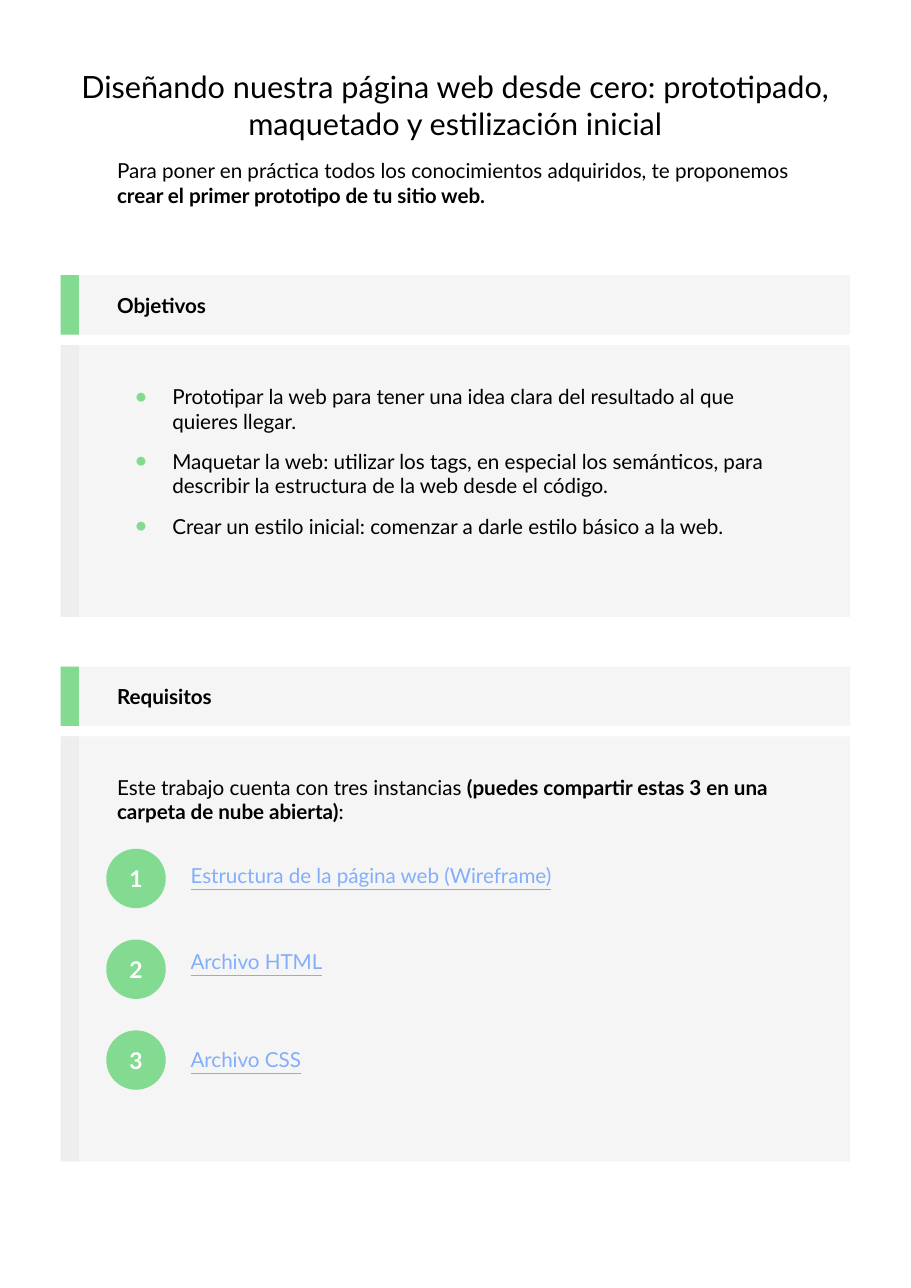
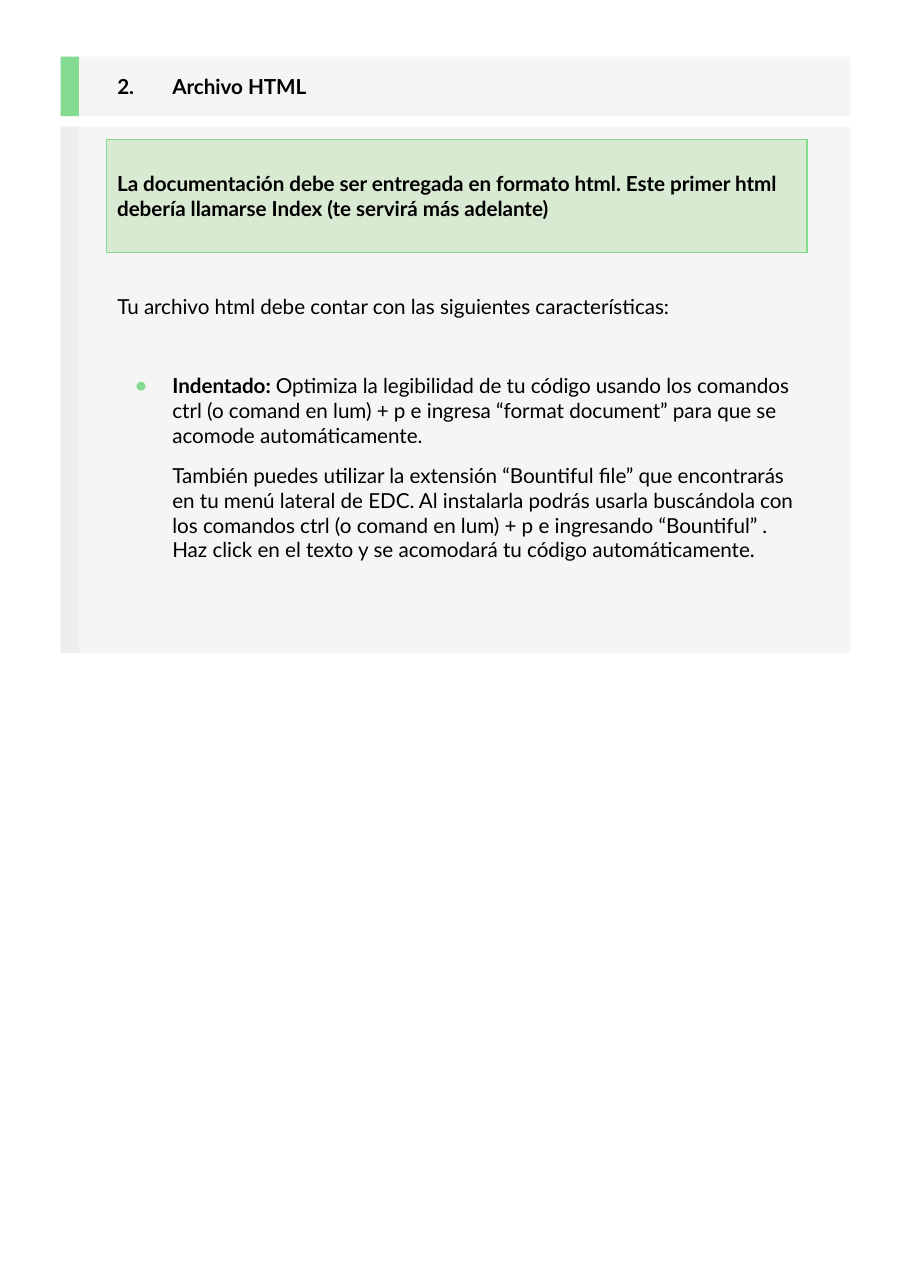
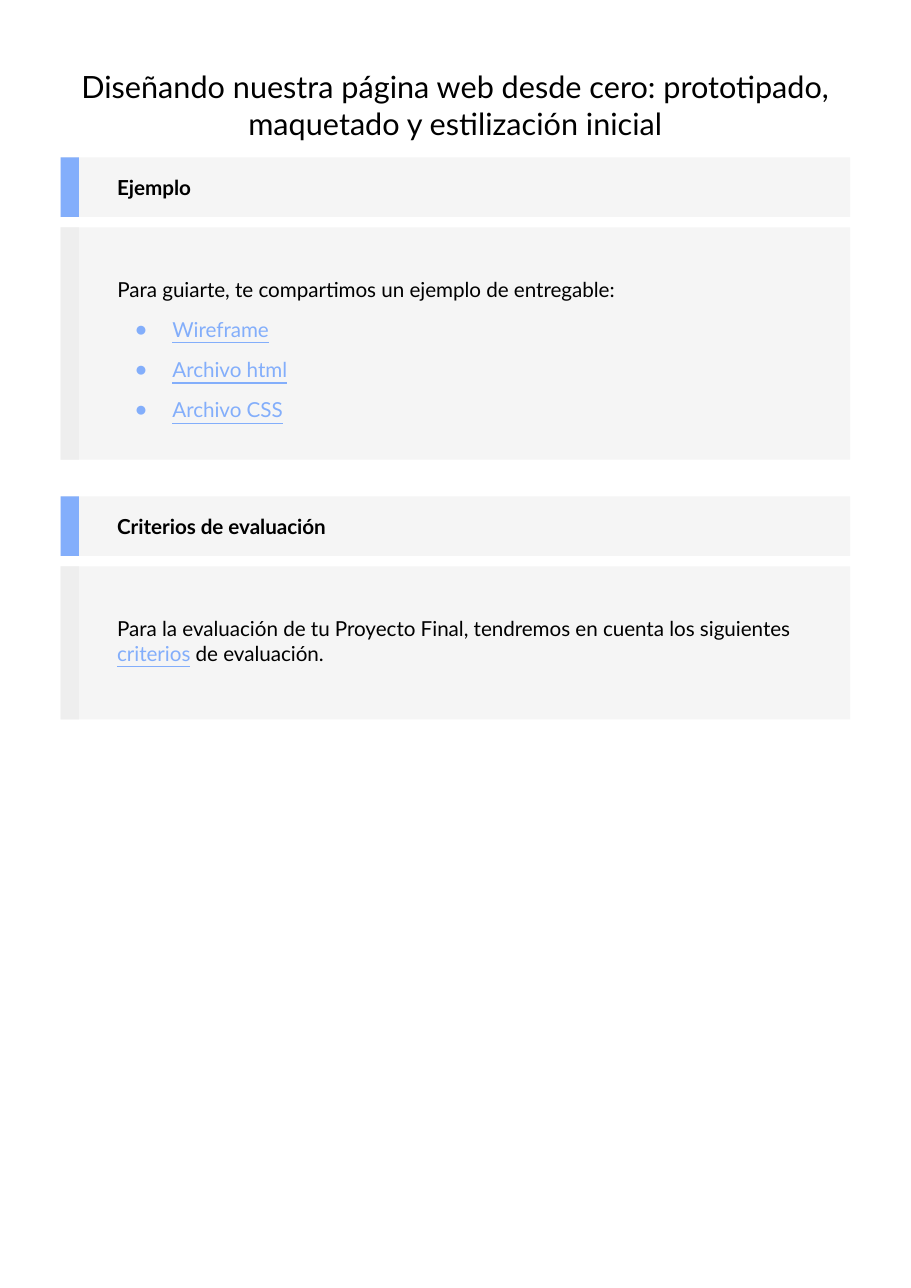
from lxml import etree
from pptx import Presentation
from pptx import util as u
from pptx.dml.color import RGBColor
from pptx.enum import shapes, text
from pptx.oxml.ns import qn

# Shared look
GREEN = RGBColor(0x82, 0xDB, 0x91)
BLUE = RGBColor(0x83, 0xAE, 0xFB)
PALE_GREEN = RGBColor(0xD9, 0xEA, 0xD3)
PANEL = RGBColor(0xF5, 0xF5, 0xF5)
PANEL_EDGE = RGBColor(0xEE, 0xEE, 0xEE)
BLACK = RGBColor(0, 0, 0)
WHITE = RGBColor(0xFF, 0xFF, 0xFF)
FONT = "Lato"
TOP, MIDDLE = text.MSO_ANCHOR.TOP, text.MSO_ANCHOR.MIDDLE
LEFT, CENTER = text.PP_ALIGN.LEFT, text.PP_ALIGN.CENTER

presentation = Presentation()
presentation.slide_width = u.Inches(8.27)
presentation.slide_height = u.Inches(11.69)

# Grid: 15 columns by 117 rows
COLUMN = presentation.slide_width / 15
ROW = presentation.slide_height / 117
EDGE, FULL = 1, 13
TEXT_LEFT, TEXT_WIDTH = 1.75, 11.54
BAND, BODY_OFFSET = 5.4, 6.35
LINK_LEFT, LINK_WIDTH, LINK_HEIGHT = 2.96, 10.32, 4.9


def grid(column, row, columns, rows):
    return (round(column * COLUMN), round(row * ROW),
            round(columns * COLUMN), round(rows * ROW))


def write(shape, paragraphs, size=13.5, color=BLACK, align=LEFT, anchor=TOP, accent=GREEN):
    """Fill a shape with paragraphs of (kind, space before, [(text, style), ...])."""
    frame = shape.text_frame
    frame.word_wrap = True
    frame.auto_size = text.MSO_AUTO_SIZE.NONE
    frame.vertical_anchor = anchor
    frame.margin_left = frame.margin_right = u.Inches(0.1)
    frame.margin_top = frame.margin_bottom = u.Inches(0.1)
    for index, (kind, before, runs) in enumerate(paragraphs):
        paragraph = frame.add_paragraph() if index else frame.paragraphs[0]
        paragraph.alignment = align
        paragraph.space_before, paragraph.space_after = u.Pt(before), u.Pt(0)
        for words, style in runs:
            run = paragraph.add_run()
            run.text = words
            run.font.name, run.font.size = FONT, u.Pt(size)
            run.font.bold = style == "bold"
            run.font.underline = style == "link"
            run.font.color.rgb = BLUE if style == "link" else color
        # Indents, bullets and tab stop
        properties = paragraph._p.get_or_add_pPr()
        properties.set("marL", str(0 if kind == "plain" else u.Inches(0.5)))
        properties.set("indent", str(u.Inches(-0.34) if kind == "bullet" else 0))
        if kind == "bullet":
            bullet_color = etree.SubElement(properties, qn("a:buClr"))
            etree.SubElement(bullet_color, qn("a:srgbClr")).set("val", str(accent))
            etree.SubElement(properties, qn("a:buChar")).set("char", "●")
        else:
            etree.SubElement(properties, qn("a:buNone"))
        if "\t" in runs[0][0]:
            tab = etree.SubElement(etree.SubElement(properties, qn("a:tabLst")), qn("a:tab"))
            tab.set("pos", str(u.Inches(1)))
            tab.set("algn", "l")


# Title position, set once in the layout
layout = presentation.slide_layouts[1]
layout_title = layout.placeholders[0]
layout_title.left, layout_title.top, layout_title.width, layout_title.height = grid(
    EDGE, 5.15, FULL, 8.8)

DOCUMENT_TITLE = ("Diseñando nuestra página web desde cero: prototipado, "
                  "maquetado y estilización inicial")

# Per slide: accent, sections (heading, top row, body rows), list (top row, rows, paragraphs)
PAGES = [
    (GREEN, [("Objetivos", 25, 24.7), ("Requisitos", 60.55, 38.6)], (33.85, 16.2, [
        ("bullet", 10, [("Prototipar la web para tener una idea clara del resultado al que "
                         "quieres llegar.", "")]),
        ("bullet", 10, [("Maquetar la web: utilizar los tags, en especial los semánticos, para "
                         "describir la estructura de la web desde el código.", "")]),
        ("bullet", 10, [("Crear un estilo inicial: comenzar a darle estilo básico a la web.",
                         "")]),
    ])),
    (GREEN, [("2.\tArchivo HTML", 5.15, 47.8)], (25.65, 32.6, [
        ("plain", 0, [("Tu archivo html debe contar con las siguientes características:", "")]),
        ("bullet", 36, [("Indentado: ", "bold"),
                        ("Optimiza la legibilidad de tu código usando los comandos ctrl (o "
                         "comand en lum) + p e ingresa “format document” para que se acomode "
                         "automáticamente.", "")]),
        ("continued", 10, [("También puedes utilizar la extensión “Bountiful file” que "
                            "encontrarás en tu menú lateral de EDC. Al instalarla podrás usarla "
                            "buscándola con los comandos ctrl (o comand en lum) + p e "
                            "ingresando “Bountiful” . Haz click en el texto y se acomodará tu "
                            "código automáticamente.", "")]),
    ])),
    (BLUE, [("Ejemplo", 14.3, 21.1), ("Criterios de evaluación", 45.1, 13.9)], (24.15, 19, [
        ("plain", 0, [("Para guiarte, te compartimos un ejemplo de entregable:", "")]),
        *[("bullet", 10, [(name, "link")])
          for name in ("Wireframe", "Archivo html", "Archivo CSS")],
    ])),
]

slides = []
for accent, sections, (list_top, list_rows, paragraphs) in PAGES:
    slide = presentation.slides.add_slide(layout)
    slides.append(slide)
    title, body = slide.placeholders[0], slide.placeholders[1]

    # Heading bands and body panels, each with a strip on its left
    for heading, top, rows in sections:
        for row, height, strip in ((top, BAND, accent), (top + BODY_OFFSET, rows, PANEL_EDGE)):
            for columns, color in ((FULL, PANEL), (0.3, strip)):
                panel = slide.shapes.add_shape(shapes.MSO_SHAPE.RECTANGLE,
                                               *grid(EDGE, row, columns, height))
                panel.shadow.inherit = False
                panel.fill.solid()
                panel.fill.fore_color.rgb = color
                panel.line.fill.background()

    # Title and list, in front of the panels
    for placeholder in (title, body):
        slide.shapes._spTree.append(placeholder._element)
    body.left, body.top, body.width, body.height = grid(
        TEXT_LEFT, list_top, TEXT_WIDTH, list_rows)
    write(body, paragraphs, accent=accent)

    # Section headings; a page with a single section has it as its title
    for heading, top, rows in sections:
        place = grid(TEXT_LEFT, top, 11.83, BAND)
        if len(sections) == 1:
            title.left, title.top, title.width, title.height = place
            heading_box = title
        else:
            heading_box = slide.shapes.add_textbox(*place)
        write(heading_box, [("plain", 0, [(heading, "bold")])], anchor=MIDDLE)
    if len(sections) > 1:
        write(title, [("plain", 0, [(DOCUMENT_TITLE, "")])], size=20, align=CENTER)

goals, html_file, example = slides

# Introductory texts
for slide, top, runs in (
    (goals, 13.35, [("Para poner en práctica todos los conocimientos adquiridos, te proponemos ",
                     ""), ("crear el primer prototipo de tu sitio web.", "bold")]),
    (goals, 69.35, [("Este trabajo cuenta con tres instancias ", ""),
                    ("(puedes compartir estas 3 en una carpeta de nube abierta)", "bold"),
                    (":", "")]),
    (example, 54.95, [("Para la evaluación de tu Proyecto Final, tendremos en cuenta los "
                       "siguientes ", ""), ("criterios", "link"), (" de evaluación.", "")]),
):
    intro = slide.shapes.add_textbox(*grid(TEXT_LEFT, top, TEXT_WIDTH, 6.6))
    write(intro, [("plain", 0, runs)])

# Numbered deliverables
for index, (name, link_top) in enumerate((
        ("Estructura de la página web (Wireframe)", 77.1), ("Archivo HTML", 84.9),
        ("Archivo CSS", 93.8))):
    circle = goals.shapes.add_shape(shapes.MSO_SHAPE.OVAL,
                                    *grid(TEXT_LEFT, 77.1 + 8.25 * index, 0.98, BAND))
    circle.shadow.inherit = False
    circle.fill.solid()
    circle.fill.fore_color.rgb = GREEN
    circle.line.fill.background()
    write(circle, [("plain", 0, [(str(index + 1), "bold")])], 15, WHITE, CENTER, MIDDLE)
    link = goals.shapes.add_textbox(*grid(LINK_LEFT, link_top, LINK_WIDTH, LINK_HEIGHT))
    write(link, [("plain", 0, [(name, "link")])], anchor=MIDDLE)

# Callout about the file format
callout = html_file.shapes.add_shape(shapes.MSO_SHAPE.RECTANGLE,
                                     *grid(TEXT_LEFT, 12.65, TEXT_WIDTH, 10.3))
callout.shadow.inherit = False
callout.fill.solid()
callout.fill.fore_color.rgb = PALE_GREEN
callout.line.color.rgb = GREEN
callout.line.width = u.Pt(0.75)
write(callout, [("plain", 0, [("La documentación debe ser entregada en formato html. Este primer "
                               "html debería llamarse Index (te servirá más adelante)", "bold")])],
      anchor=MIDDLE)

presentation.save("out.pptx")
